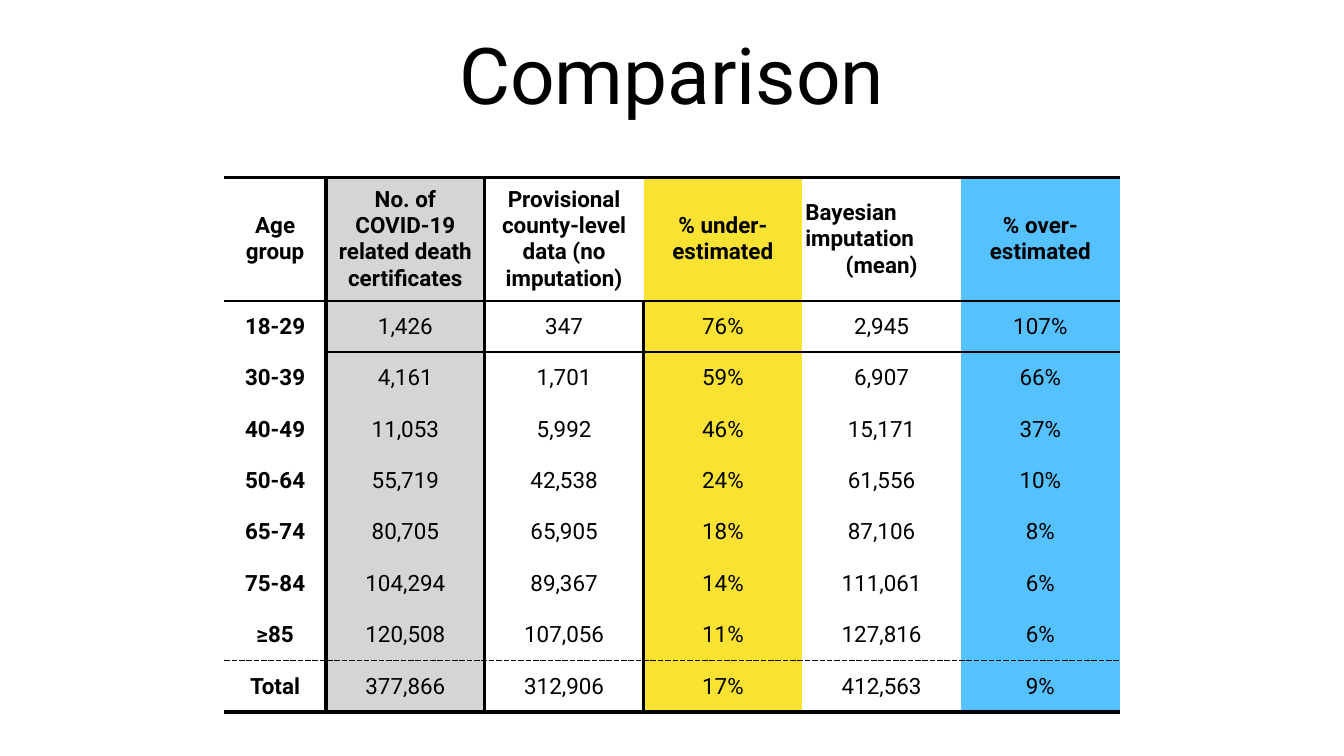
from lxml.etree import SubElement
from pptx import Presentation
from pptx.dml.color import RGBColor
from pptx.enum.text import MSO_ANCHOR, PP_ALIGN
from pptx.oxml.ns import qn
from pptx.util import Inches, Pt

TITLE = "Comparison"
HEADERS = [
    "Age group",
    "No. of COVID-19 related death certificates",
    "Provisional county-level data (no imputation)",
    "% under-estimated",
    "Bayesian imputation\n(mean)",
    "% over-estimated",
]
AGE_ROWS = [
    ("18-29", "1,426", "347", "76%", "2,945", "107%"),
    ("30-39", "4,161", "1,701", "59%", "6,907", "66%"),
    ("40-49", "11,053", "5,992", "46%", "15,171", "37%"),
    ("50-64", "55,719", "42,538", "24%", "61,556", "10%"),
    ("65-74", "80,705", "65,905", "18%", "87,106", "8%"),
    ("75-84", "104,294", "89,367", "14%", "111,061", "6%"),
    ("≥85", "120,508", "107,056", "11%", "127,816", "6%"),
    ("Total", "377,866", "312,906", "17%", "412,563", "9%"),
]

FONT = "Roboto"
BLACK = RGBColor(0x00, 0x00, 0x00)
WHITE = RGBColor(0xFF, 0xFF, 0xFF)
GREY = RGBColor(0xD5, 0xD5, 0xD5)
YELLOW = RGBColor(0xFA, 0xE2, 0x32)
BLUE = RGBColor(0x56, 0xC1, 0xFF)
COLUMN_FILLS = [WHITE, GREY, WHITE, YELLOW, WHITE, BLUE]

COLUMN_WIDTHS = [2.02] + [3.15] * 5
ROW_HEIGHTS = [2.45] + [1.02] * len(AGE_ROWS)
MARGIN = Inches(0.06)
LAST_ROW = len(AGE_ROWS)
THICK, MEDIUM, THIN = 5, 3, 1


def horizontal_rule(edge, column):
    """Width in points of the line on a row edge; edge 0 is the table top."""
    if edge == 2:
        return MEDIUM if column > 0 else 0
    return {0: THICK, 1: MEDIUM, LAST_ROW: THIN, LAST_ROW + 1: THICK}.get(edge, 0)


def vertical_rule(edge, row):
    """Width in points of the line on a column edge; edge 0 is the table left."""
    return THICK if edge in (1, 2) or (edge == 3 and row > 0) else 0


def add_border(cell, side, width):
    line = SubElement(cell._tc.get_or_add_tcPr(), qn(f"a:ln{side}"), w=str(Pt(width)))
    if not width:
        SubElement(line, qn("a:noFill"))
        return
    color = SubElement(line, qn("a:solidFill"))
    SubElement(color, qn("a:srgbClr"), val=str(BLACK))
    SubElement(line, qn("a:prstDash"), val="dash" if width == THIN else "solid")


def add_text(paragraph, text, size, bold=False, align=PP_ALIGN.CENTER):
    paragraph.alignment = align
    run = paragraph.add_run()
    run.text = text
    run.font.name = FONT
    run.font.size = Pt(size)
    run.font.bold = bold
    run.font.color.rgb = BLACK


def set_margins(box):
    box.margin_left = box.margin_right = box.margin_top = box.margin_bottom = MARGIN
    box.vertical_anchor = MSO_ANCHOR.MIDDLE


def fill_cell(cell, row, column, text):
    set_margins(cell)
    add_border(cell, "L", vertical_rule(column, row))
    add_border(cell, "R", vertical_rule(column + 1, row))
    add_border(cell, "T", horizontal_rule(row, column))
    add_border(cell, "B", horizontal_rule(row + 1, column))
    cell.fill.solid()
    cell.fill.fore_color.rgb = COLUMN_FILLS[column]

    lines = text.split("\n")
    for index, line in enumerate(lines):
        frame = cell.text_frame
        paragraph = frame.add_paragraph() if index else frame.paragraphs[0]
        is_last = index == len(lines) - 1
        add_text(paragraph, line, 32, bold=row == 0 or column == 0,
                 align=PP_ALIGN.CENTER if is_last else PP_ALIGN.LEFT)


def main():
    prs = Presentation()
    prs.slide_width, prs.slide_height = Inches(26.67), Inches(15)
    slide = prs.slides.add_slide(prs.slide_layouts[5])

    title = slide.shapes.title
    title.left, title.top = Inches(0.87), Inches(0.39)
    title.width, title.height = Inches(24.92), Inches(2.12)
    set_margins(title.text_frame)
    add_text(title.text_frame.paragraphs[0], TITLE, 112)

    rows = [HEADERS, *AGE_ROWS]
    table = slide.shapes.add_table(
        len(rows), len(HEADERS), Inches(4.45), Inches(3.52),
        Inches(sum(COLUMN_WIDTHS)), Inches(sum(ROW_HEIGHTS))).table
    table.first_row = table.horz_banding = False
    for column, width in zip(table.columns, COLUMN_WIDTHS):
        column.width = Inches(width)
    for row, height in zip(table.rows, ROW_HEIGHTS):
        row.height = Inches(height)

    for row, texts in enumerate(rows):
        for column, text in enumerate(texts):
            fill_cell(table.cell(row, column), row, column, text)

    prs.save("out.pptx")


if __name__ == "__main__":
    main()
